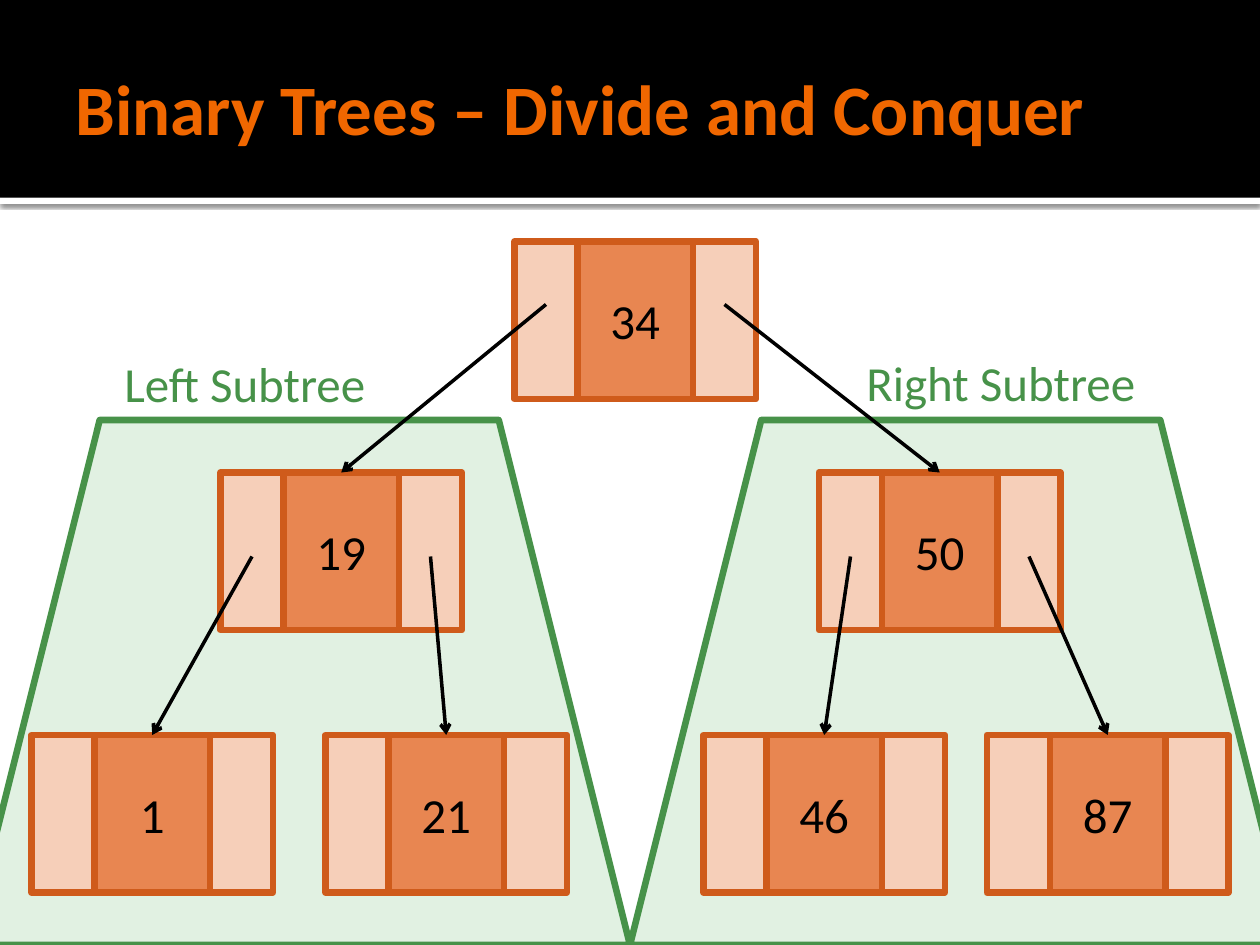
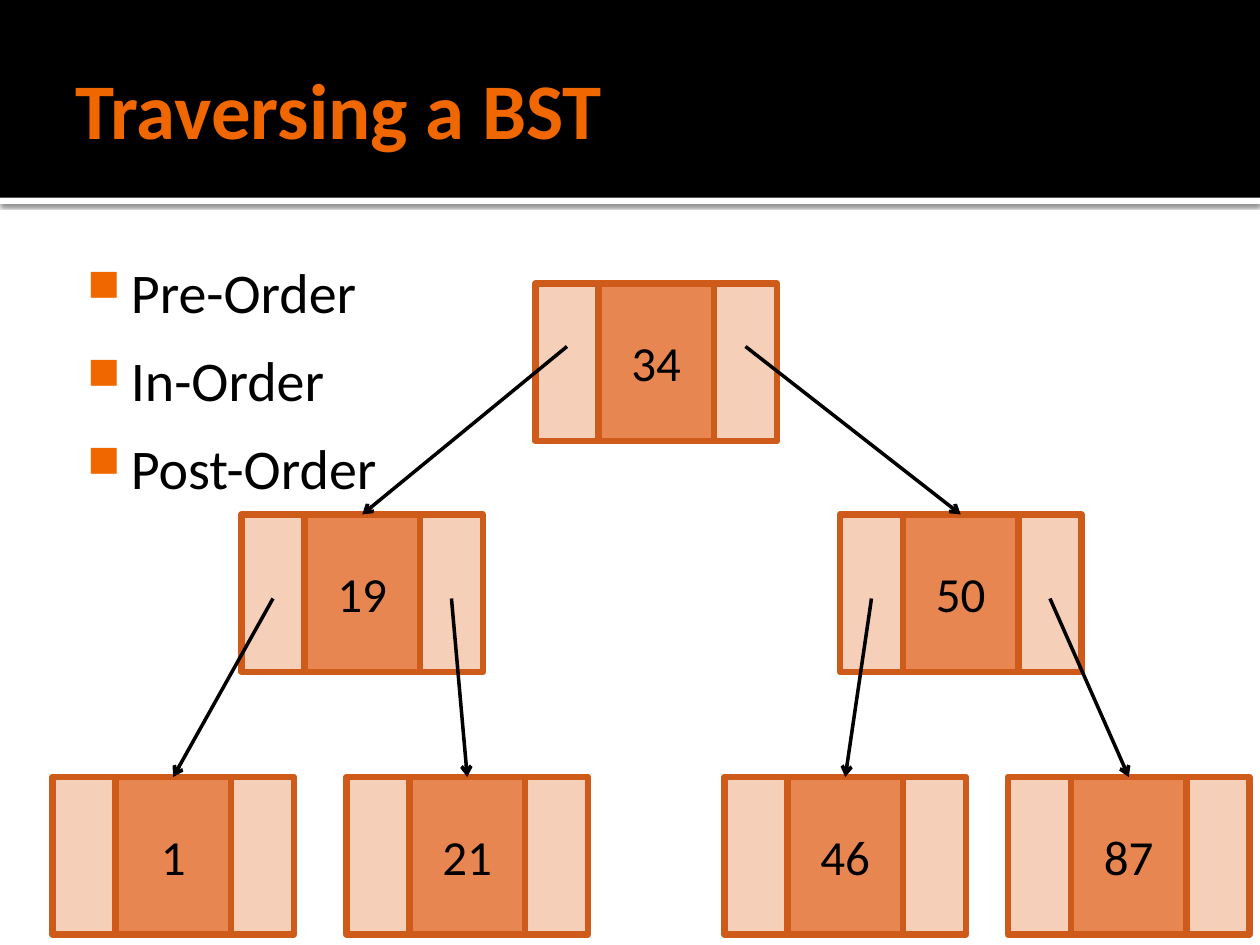
"""Build two slides that show a binary search tree."""
from lxml import etree
from pptx import Presentation
from pptx import util as u
from pptx.dml.color import RGBColor
from pptx.enum import shapes, text
from pptx.oxml import parse_xml
from pptx.oxml.ns import nsdecls, qn

BLACK = RGBColor(0x00, 0x00, 0x00)
WHITE = RGBColor(0xFF, 0xFF, 0xFF)
ORANGE = RGBColor(0xF0, 0x67, 0x00)
VALUE_FILL = RGBColor(0xE8, 0x86, 0x51)
POINTER_FILL = RGBColor(0xF6, 0xCF, 0xB9)
NODE_LINE = RGBColor(0xCF, 0x5B, 0x1B)
GREEN = RGBColor(0x47, 0x92, 0x49)
PALE_GREEN = RGBColor(0xE1, 0xF1, 0xE2)

VALUE_WIDTH, POINTER_WIDTH, NODE_HEIGHT = 66, 36, 90
NODES = {
    "34": (330, 138),
    "19": (162, 270),
    "50": (504, 270),
    "1": (54, 420),
    "21": (222, 420),
    "46": (438, 420),
    "87": (600, 420),
}
CHILDREN = {"34": ("19", "50"), "19": ("1", "21"), "50": ("46", "87")}
ARROW_DROP = {"34": 36, "19": 48, "50": 48}


def write_text(frame, content, *, size=28, color=BLACK, bold=False,
               align=text.PP_ALIGN.LEFT, anchor=text.MSO_ANCHOR.TOP,
               insets=(7.2, 3.6, 7.2, 3.6), wrap=True, space_after=0, bullet=None):
    frame.word_wrap = wrap
    frame.vertical_anchor = anchor
    frame.margin_left, frame.margin_top, frame.margin_right, frame.margin_bottom = map(u.Pt, insets)
    for index, line in enumerate(content.split("\n")):
        paragraph = frame.add_paragraph() if index else frame.paragraphs[0]
        paragraph.text = line
        paragraph.alignment = align
        paragraph.space_before = u.Pt(0)
        paragraph.space_after = u.Pt(space_after)
        if bullet:
            add_bullet(paragraph, bullet)
        font = paragraph.runs[0].font
        font.name, font.size, font.bold = "Calibri", u.Pt(size), bold
        font.color.rgb = color


def add_bullet(paragraph, character, indent=34.5, hanging=25):
    properties = paragraph._p.get_or_add_pPr()
    properties.set("marL", str(u.Pt(indent)))
    properties.set("indent", str(-u.Pt(hanging)))
    color = etree.SubElement(properties, qn("a:buClr"))
    etree.SubElement(color, qn("a:srgbClr"), val=str(ORANGE))
    etree.SubElement(properties, qn("a:buSzPct"), val="80000")
    etree.SubElement(properties, qn("a:buChar"), char=character)


class Deck:
    def __init__(self):
        self.presentation = Presentation()
        self.presentation.slide_width = u.Pt(720)
        self.presentation.slide_height = u.Pt(540)
        self.slide = None

    def add_slide(self, title, size):
        self.slide = self.presentation.slides.add_slide(self.presentation.slide_layouts[5])
        self.header_band()
        shape = self.slide.shapes.title
        shape.left, shape.top, shape.width, shape.height = map(u.Pt, (36, 12.2, 648, 98.6))
        write_text(shape.text_frame, title, size=size, color=ORANGE, bold=True,
                   anchor=text.MSO_ANCHOR.MIDDLE, insets=(7.2, 3.6, 3.6, 3.6))
        shape.text_frame.auto_size = text.MSO_AUTO_SIZE.NONE

    def header_band(self):
        stripe = self.block(0, 113, 720, 3.6, WHITE)
        effects = stripe._element.spPr.find(qn("a:effectLst"))
        effects.append(parse_xml(
            f'<a:outerShdw {nsdecls("a")} blurRad="{u.Pt(2.5)}" dist="{u.Pt(0.8)}" dir="5400000" '
            'algn="tl" rotWithShape="0"><a:srgbClr val="000000"><a:alpha val="60000"/>'
            '</a:srgbClr></a:outerShdw>'))
        band = self.block(0, 0, 720, 113, BLACK)
        for shape in (band, stripe):
            self.slide.shapes.element.insert(2, shape._element)

    def block(self, left, top, width, height, fill, line=None,
              kind=shapes.MSO_SHAPE.RECTANGLE, parent=None):
        shape = (parent or self.slide).shapes.add_shape(
            kind, *map(u.Pt, (left, top, width, height)))
        shape.shadow.inherit = False
        shape.fill.solid()
        shape.fill.fore_color.rgb = fill
        if line is None:
            shape.line.fill.background()
        else:
            shape.line.color.rgb = line
            shape.line.width = u.Pt(3.78)
        return shape

    def text_box(self, left, top, width, height, content, **style):
        shape = self.slide.shapes.add_textbox(*map(u.Pt, (left, top, width, height)))
        write_text(shape.text_frame, content, **style)

    def node(self, left, top, value):
        group = self.slide.shapes.add_group_shape()
        box = self.block(left, top, VALUE_WIDTH, NODE_HEIGHT, VALUE_FILL, NODE_LINE, parent=group)
        write_text(box.text_frame, value, align=text.PP_ALIGN.CENTER,
                   anchor=text.MSO_ANCHOR.MIDDLE)
        for pointer_left in (left + VALUE_WIDTH, left - POINTER_WIDTH):
            self.block(pointer_left, top, POINTER_WIDTH, NODE_HEIGHT,
                       POINTER_FILL, NODE_LINE, parent=group)
        return box

    def arrow(self, left, top, target):
        connector = self.slide.shapes.add_connector(
            shapes.MSO_CONNECTOR.STRAIGHT, u.Pt(left), u.Pt(top),
            target.left + target.width // 2, target.top)
        connector.end_connect(target, 0)
        connector.line.color.rgb = BLACK
        connector.line.width = u.Pt(2)
        etree.SubElement(connector.line._get_or_add_ln(), qn("a:tailEnd"), type="arrow")
        etree.SubElement(connector._element.spPr, qn("a:effectLst"))

    def tree(self, shift_x=0, shift_y=0):
        boxes = {value: self.node(left + shift_x, top + shift_y, value)
                 for value, (left, top) in NODES.items()}
        for parent, children in CHILDREN.items():
            left, top = NODES[parent]
            starts = (left - POINTER_WIDTH / 2, left + VALUE_WIDTH + POINTER_WIDTH / 2)
            for start, child in zip(starts, children):
                self.arrow(start + shift_x, top + ARROW_DROP[parent] + shift_y, boxes[child])

    def subtree_area(self, left):
        self.block(left, 240, 378, 300, PALE_GREEN, GREEN, kind=shapes.MSO_SHAPE.TRAPEZOID)


def main():
    deck = Deck()

    deck.add_slide("Binary Trees – Divide and Conquer", 40.5)
    for left in (360, -18):
        deck.subtree_area(left)
    deck.tree()
    deck.text_box(64, 198.7, 160, 41, "Left Subtree", color=GREEN, wrap=False)
    deck.text_box(488, 198, 176, 41, "Right Subtree", color=GREEN, wrap=False)

    deck.add_slide("Traversing a BST", 45)
    deck.text_box(36, 139.7, 648, 364.3, "Pre-Order\nIn-Order\nPost-Order", size=32,
                  insets=(4.3, 7.2, 7.2, 3.6), space_after=12, bullet="■")
    deck.tree(shift_x=12, shift_y=24)

    deck.presentation.save("out.pptx")


if __name__ == "__main__":
    main()
